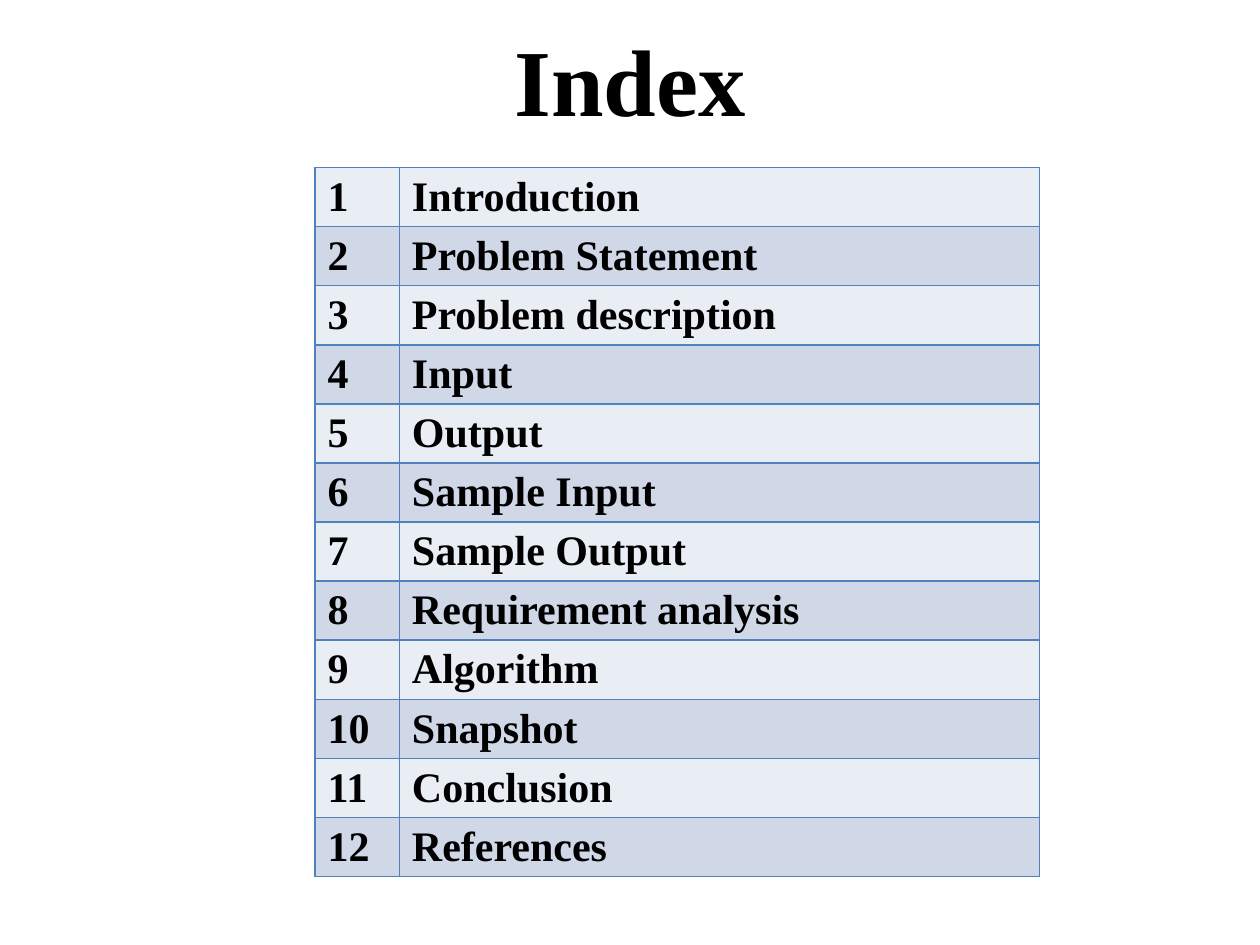
from lxml.etree import SubElement
from pptx import Presentation
from pptx.dml.color import RGBColor
from pptx.enum.text import MSO_ANCHOR, PP_ALIGN
from pptx.oxml.ns import qn
from pptx.util import Inches, Pt

COLORS = {"text": "000000", "border": "4F81BD", "odd": "E9EDF4", "even": "D0D8E8"}
FONT = "Times New Roman"
TOPICS = [
    "Introduction", "Problem Statement", "Problem description", "Input",
    "Output", "Sample Input", "Sample Output", "Requirement analysis",
    "Algorithm", "Snapshot", "Conclusion", "References",
]


def write(frame, text, size, align=PP_ALIGN.LEFT):
    para = frame.paragraphs[0]
    para.text = text
    para.alignment = align
    font = para.font
    font.name, font.size, font.bold = FONT, Pt(size), True
    font.color.rgb = RGBColor.from_string(COLORS["text"])


def add_borders(cell, width=1):
    properties = cell._tc.get_or_add_tcPr()
    for position, side in enumerate(("lnL", "lnR", "lnT", "lnB")):
        line = SubElement(properties, qn(f"a:{side}"), w=str(Pt(width)))
        fill = SubElement(line, qn("a:solidFill"))
        SubElement(fill, qn("a:srgbClr"), val=COLORS["border"])
        # Border lines come before the cell fill
        properties.insert(position, line)


def add_title(page, text, left, top, width, height):
    box = page.shapes.add_textbox(*map(Inches, (left, top, width, height)))
    frame = box.text_frame
    frame.word_wrap = True
    frame.vertical_anchor = MSO_ANCHOR.MIDDLE
    write(frame, text, 54, PP_ALIGN.CENTER)


def add_index(page, topics, left, top, width, height, number_width=0.67):
    table = page.shapes.add_table(
        len(topics), 2, *map(Inches, (left, top, width, height))).table
    table.first_row = table.horz_banding = False
    table.columns[0].width = Inches(number_width)
    table.columns[1].width = Inches(width - number_width)
    for number, topic in enumerate(topics, 1):
        band = COLORS["odd" if number % 2 else "even"]
        for column, text in enumerate((str(number), topic)):
            cell = table.cell(number - 1, column)
            cell.margin_bottom = 0
            cell.fill.solid()
            cell.fill.fore_color.rgb = RGBColor.from_string(band)
            add_borders(cell)
            write(cell.text_frame, text, 24)


deck = Presentation()
deck.slide_width, deck.slide_height = Inches(10), Inches(7.5)
page = deck.slides.add_slide(deck.slide_layouts[6])

# Heading and numbered list of topics
add_title(page, "Index", 0.5, 0, 9, 1.25)
add_index(page, TOPICS, 2.5, 1.33, 5.75, 5.63)

deck.save("out.pptx")
